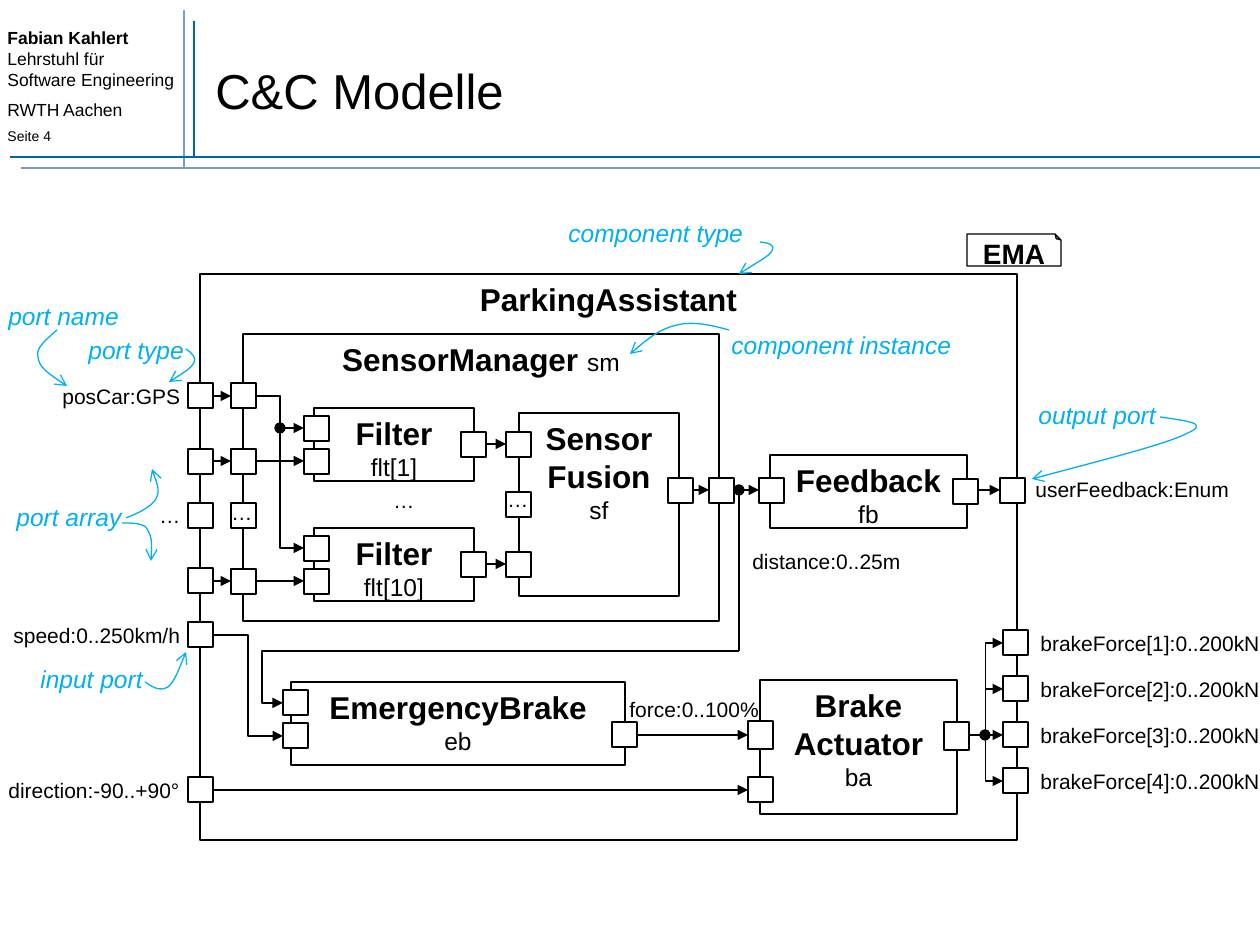
import lxml.etree
import pptx
import pptx.dml.color
import pptx.enum.shapes
import pptx.enum.text
import pptx.oxml.ns
import pptx.util

PX = pptx.util.Inches(1) / 126
PORT = 25
BLACK, WHITE, CYAN = "000000", "FFFFFF", "00B0F0"
SHAPE = pptx.enum.shapes.MSO_SHAPE
CONNECTOR = pptx.enum.shapes.MSO_CONNECTOR
ANCHOR = pptx.enum.text.MSO_ANCHOR
FIT = pptx.enum.text.MSO_AUTO_SIZE.SHAPE_TO_FIT_TEXT
CENTER = pptx.enum.text.PP_ALIGN.CENTER

def emu(*lengths):
    return [round(length * PX) for length in lengths]

def rgb(value):
    return pptx.dml.color.RGBColor.from_string(value)

def inside(box, x, y, *size):
    """Turn a place relative to a box into a place on the slide."""
    return (box[0] + x, box[1] + y, *size)

def set_values(target, values):
    for name, value in values.items():
        setattr(target, name, value)

def add_child(parent, tag, **attributes):
    child = lxml.etree.SubElement(parent, pptx.oxml.ns.qn(tag))
    for name, value in attributes.items():
        child.set(name, value)
    return child

def find(part, tag):
    return part._element.spPr.find(".//" + pptx.oxml.ns.qn(tag))

def set_line(part, color, width=0.75, head=None):
    part.line.color.rgb = rgb(color)
    part.line.width = pptx.util.Pt(width)
    if head:
        add_child(find(part, "a:ln"), "a:tailEnd", type=head)

def write(frame, paragraphs, color=BLACK, align=None, **frame_values):
    """Fill a frame; each paragraph is (space before, [(text, size, font values)])."""
    set_values(frame, frame_values)
    for index, (space, runs) in enumerate(paragraphs):
        paragraph = frame.add_paragraph() if index else frame.paragraphs[0]
        paragraph.alignment = align
        if space:
            paragraph.space_before = pptx.util.Pt(space)
        for text, size, font in runs:
            for row, line in enumerate(text.split("\n")):
                if row:
                    paragraph.add_line_break()
                if line:
                    run = paragraph.add_run()
                    run.text = line
                    set_values(run.font, {"name": "Arial", "size": pptx.util.Pt(size), **font})
                    run.font.color.rgb = rgb(color)

def add_box(slide, box, kind=SHAPE.RECTANGLE, fill=WHITE):
    shape = slide.shapes.add_shape(kind, *emu(*box))
    shape.shadow.inherit = False
    shape.fill.solid()
    shape.fill.fore_color.rgb = rgb(fill)
    set_line(shape, BLACK)
    return shape

def add_port(slide, region, x, y, height=PORT):
    add_box(slide, inside(region, x, y, PORT, height))

def add_label(slide, box, text, size=12, color=BLACK, **font):
    frame = slide.shapes.add_textbox(*emu(*box)).text_frame
    write(frame, [(0, [(text, size, font)])], color, word_wrap=False, auto_size=FIT)

def add_component(slide, box, title, instance="", ports=(), inline=False):
    name, role = (title, 18, {"bold": True}), (instance, 14, {"bold": False})
    paragraphs = [(0, [name, role])] if inline else [(0, [name]), (0, [role])]
    write(add_box(slide, box).text_frame, paragraphs, align=CENTER,
          word_wrap=True, vertical_anchor=ANCHOR.TOP)
    for port in ports:
        add_port(slide, box, *port)

def add_wire(slide, region, start, end, bend=None, color=BLACK, width=0.75, head="triangle"):
    """Join two points; bend is the share of the way at which an elbow turns."""
    kind = CONNECTOR.ELBOW if bend else CONNECTOR.STRAIGHT
    wire = slide.shapes.add_connector(kind, *emu(*inside(region, *start), *inside(region, *end)))
    set_line(wire, color, width, head)
    if bend:
        add_child(find(wire, "a:avLst"), "a:gd", name="adj1", fmla=f"val {round(bend * 100000)}")
    add_child(wire._element.spPr, "a:effectLst")

def add_curve(slide, region, points):
    """Draw an arrow along joined cubic curves."""
    start, *rest = [inside(region, *point) for point in points]
    builder = slide.shapes.build_freeform(*start, scale=PX)
    builder.add_line_segments(rest, close=False)
    curve = builder.convert_to_shape()
    curve.shadow.inherit = False
    curve.fill.background()
    set_line(curve, CYAN, head="arrow")
    outline = find(curve, "a:path")
    for index, segment in enumerate(outline.findall(pptx.oxml.ns.qn("a:lnTo"))):
        if index % 3 == 0:
            bezier = add_child(outline, "a:cubicBezTo")
        bezier.append(segment[0])
        outline.remove(segment)

def add_header(slide, box):
    author = slide.shapes.add_textbox(*emu(*inside(box, -5, 21, 193, 134))).text_frame
    write(author, [
        (0, [("Fabian Kahlert\n", 10, {"bold": True}), ("Lehrstuhl für Software Engineering", 10, {})]),
        (5, [("RWTH Aachen", 10, {})]),
        (4, [("Seite 4", 8, {})]),
    ], word_wrap=True)
    for start, end, color in (((194, 157), (194, 21), "0067A6"), ((184, 168), (184, 10), "779EC9"),
                              ((10, 157), (1260, 157), "0067A6"), ((21, 168), (1260, 168), "779EC9")):
        add_wire(slide, box, start, end, color=color, width=1, head=None)
    title = slide.shapes.add_textbox(*emu(*inside(box, 203, 32, 1042, 116))).text_frame
    write(title, [(0, [("C&C Modelle", 28, {})])], word_wrap=True, vertical_anchor=ANCHOR.MIDDLE)

def add_sensor_manager(slide, box):
    add_component(slide, box, "SensorManager ", "sm", inline=True,
                  ports=[(-12, y) for y in (49, 115, 169, 235)] + [(466, 144)])
    for y, instance in ((74, "flt[1]"), (194, "flt[10]")):
        add_component(slide, inside(box, 71, y, 160, 73), "Filter", instance,
                      [(-10, 8), (-10, 41), (147, 24)])
        add_wire(slide, box, (243, y + 36), (263, y + 36))
        add_wire(slide, box, (13, y + 53), (61, y + 53))
        add_wire(slide, box, (13, 62), (61, y + 20), bend=0.5)
    add_component(slide, inside(box, 276, 79, 160, 183), "Sensor\nFusion", "sf",
                  [(149, 65), (-13, 19), (-13, 79), (-13, 139)])
    for x, y in ((-24, 159), (138, 147), (252, 146)):
        add_label(slide, inside(box, x, y, 47, 38), "…")
    add_wire(slide, box, (450, 156), (466, 156))
    add_box(slide, inside(box, 32, 89, 10, 10), SHAPE.OVAL, BLACK)

def add_brake_outputs(slide, box):
    for number in range(1, 5):
        y = 46 * (number - 1)
        add_port(slide, box, 35, y)
        add_label(slide, inside(box, 60, y - 6, 247, 38), f"brakeForce[{number}]:0..200kN")
        add_wire(slide, box, (0, 105), (35, y + 13), bend=None if number == 3 else 0.5)
    add_box(slide, inside(box, 12, 100, 10, 10), SHAPE.OVAL, BLACK)

def add_parking_assistant(slide, box):
    add_component(slide, inside(box, 200, 74, 817, 566), "ParkingAssistant", inline=True)
    add_sensor_manager(slide, inside(box, 243, 134, 476, 287))
    for place, title, instance, ports in (
        ((770, 255, 197, 73), "Feedback", "fb", [(-11, 23), (183, 24)]),
        ((291, 482, 334, 83), "EmergencyBrake", "eb", [(-8, 8), (-8, 41), (321, 40)]),
        ((760, 480, 197, 134), "Brake\nActuator", "ba", [(-12, 41, 28), (184, 42, 28), (-12, 97)]),
    ):
        add_component(slide, inside(box, *place), title, instance, ports)
    for y in (183, 249, 303, 368, 422, 577):
        add_port(slide, box, 188, y)
    add_port(slide, box, 1000, 278)
    for x, y, width, text in (
        (50, 177, 145, "posCar:GPS"), (147, 296, 47, "…"), (1, 416, 194, "speed:0..250km/h"),
        (-4, 571, 198, "direction:-90..+90°"), (740, 342, 175, "distance:0..25m"),
        (617, 490, 156, "force:0..100%"), (1023, 270, 220, "userFeedback:Enum"),
    ):
        add_label(slide, inside(box, x, y, width, 38), text)
    for x, y, end in ((213, 196, 231), (213, 261, 231), (213, 381, 231), (213, 590, 748),
                      (638, 535, 748), (734, 290, 759), (978, 290, 1000)):
        add_wire(slide, box, (x, y), (end, y))
    add_wire(slide, box, (213, 435), (283, 536), bend=0.5)
    add_wire(slide, box, (739, 451), (283, 503), bend=1.046)
    add_wire(slide, box, (739, 290), (739, 451), head=None)
    add_box(slide, inside(box, 734, 285, 10, 10), SHAPE.OVAL, BLACK)
    add_brake_outputs(slide, inside(box, 968, 430))

def add_language_tag(slide, box):
    tag = add_box(slide, box, SHAPE.FOLDED_CORNER)
    add_child(find(tag, "a:avLst"), "a:gd", name="adj", fmla="val 18500")
    find(tag, "a:xfrm").set("flipV", "1")
    tag.text_frame._txBody.bodyPr.set("rot", "10800000")
    write(tag.text_frame, [(0, [("EMA", 16, {"bold": True})])], align=CENTER,
          word_wrap=False, vertical_anchor=ANCHOR.MIDDLE)

def add_annotations(slide, box):
    for text, x, y, width, *curves in (
        ("input port", 28, 458, 129,
         [(145, 482), (152, 487), (160, 492), (168, 487), (174, 482), (180, 467), (186, 452)]),
        ("output port", 1026, 194, 144,
         [(1160, 217), (1186, 221), (1210, 223), (1188, 233), (1167, 244), (1099, 261), (1032, 279)]),
        ("port array", 4, 296, 131,
         [(126, 318), (139, 313), (151, 307), (156, 299), (160, 290), (156, 280), (152, 269)],
         [(122, 323), (132, 323), (144, 323), (147, 329), (152, 337), (152, 349), (151, 361)]),
        ("component type", 556, 12, 200,
         [(760, 42), (767, 43), (776, 44), (772, 51), (769, 56), (753, 65), (739, 74)]),
        ("port name", -4, 95, 136,
         [(57, 130), (47, 139), (35, 148), (38, 157), (39, 167), (53, 177), (67, 186)]),
        ("port type", 76, 129, 121,
         [(186, 149), (192, 153), (197, 158), (194, 163), (190, 169), (180, 175), (169, 182)]),
        ("component instance", 719, 124, 246,
         [(729, 130), (711, 125), (693, 121), (677, 125), (660, 129), (645, 141), (630, 154)]),
    ):
        add_label(slide, inside(box, x, y, width, 43), text, 14, CYAN, italic=True)
        for points in curves:
            add_curve(slide, box, points)

deck = pptx.Presentation()
deck.slide_width, deck.slide_height = emu(1260, 945)
page = deck.slides.add_slide(deck.slide_layouts[6])
diagram = (0, 200, 1260, 660)
add_header(page, (0, 0, 1260, 170))
add_parking_assistant(page, diagram)
add_language_tag(page, inside(diagram, 967, 34, 94, 32))
add_annotations(page, diagram)
deck.save("out.pptx")
